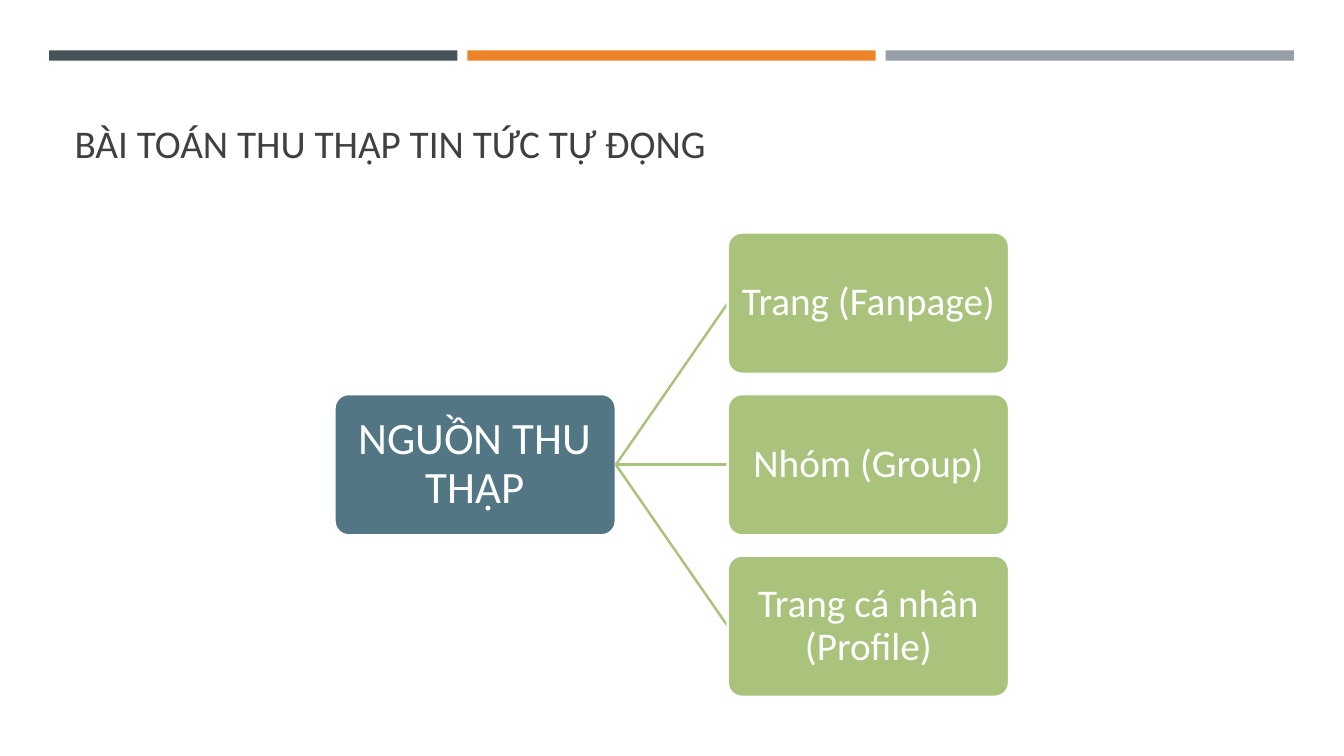
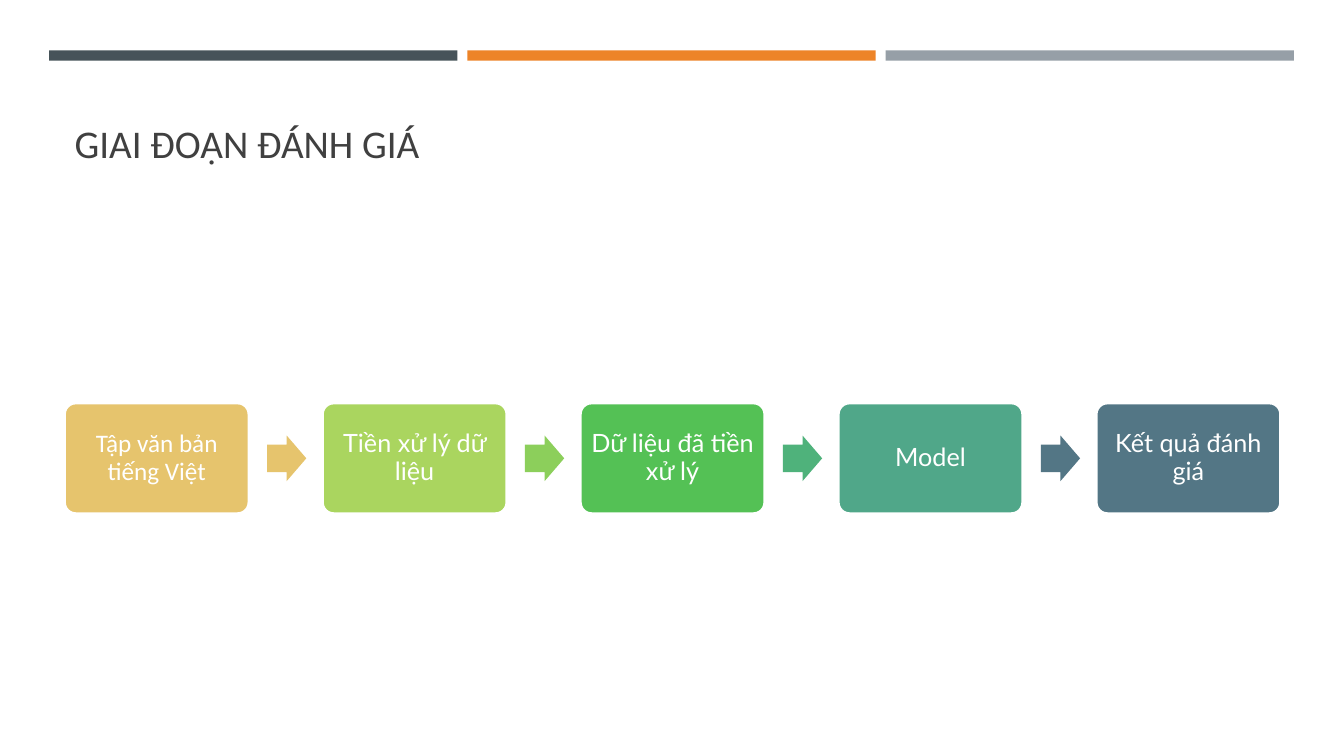
import pptx
import pptx.util
import pptx.dml.color
import pptx.enum.shapes
import pptx.enum.text
import pptx.oxml.ns
from dataclasses import dataclass
from lxml import etree

Cm = pptx.util.Cm
Pt = pptx.util.Pt
RGB = pptx.dml.color.RGBColor.from_string
SHAPE = pptx.enum.shapes.MSO_SHAPE
ALIGN = pptx.enum.text.PP_ALIGN
ANCHOR = pptx.enum.text.MSO_ANCHOR


@dataclass(frozen=True)
class Theme:
    bands: tuple = ("465359", "ED8428", "969FA7")
    title: str = "404040"
    white: str = "FFFFFF"
    root: str = "537685"
    branch: str = "A9C37C"
    font: str = "Calibri"
    step_font: str = "Lato"
    title_size: int = 28
    root_size: int = 32
    branch_size: int = 28
    step_size: int = 18
    line: float = 1.75


T = Theme()

SOURCES_TITLE = "BÀI TOÁN THU THẬP TIN TỨC TỰ ĐỘNG"
ROOT = "NGUỒN THU THẬP"
BRANCHES = ["Trang (Fanpage)", "Nhóm (Group)", "Trang cá nhân (Profile)"]

STEPS_TITLE = "GIAI ĐOẠN ĐÁNH GIÁ"
STEPS = [
    ("Tập văn bản tiếng Việt", T.font, "E6C46D", "E6C46D"),
    ("Tiền xử lý dữ liệu", T.step_font, "AAD55F", "8CCF5B"),
    ("Dữ liệu đã tiền xử lý", T.step_font, "54C155", "4FB27B"),
    ("Model", T.step_font, "50A789", "537685"),
    ("Kết quả đánh giá", T.step_font, "537685", None),
]


def add_block(slide, kind, x, y, w, h, fill):
    sp = slide.shapes.add_shape(kind, Cm(x), Cm(y), Cm(w), Cm(h))
    sp.shadow.inherit = False
    sp.fill.solid()
    sp.fill.fore_color.rgb = RGB(fill)
    sp.line.fill.background()
    return sp


def set_text(sp, text, size, color, font=T.font):
    tf = sp.text_frame
    tf.text = text
    tf.word_wrap = True
    tf.vertical_anchor = ANCHOR.MIDDLE
    p = tf.paragraphs[0]
    r = p.runs[0]
    r.font.size = Pt(size)
    r.font.name = font
    r.font.color.rgb = RGB(color)
    return tf


def add_box(slide, x, y, w, h, fill, text, size, inset, font=T.font):
    sp = add_block(slide, SHAPE.ROUNDED_RECTANGLE, x, y, w, h, fill)
    sp.adjustments[0] = 0.1
    sp.line.color.rgb = RGB(T.white)
    sp.line.width = Pt(T.line)
    tf = set_text(sp, text, size, T.white, font)
    tf.margin_left = tf.margin_right = Cm(inset)
    tf.margin_top = tf.margin_bottom = Cm(inset)
    p = tf.paragraphs[0]
    p.alignment = ALIGN.CENTER
    p.line_spacing = 0.9
    return sp


def add_link(slide, start, x, y):
    link = slide.shapes.add_connector(
        pptx.enum.shapes.MSO_CONNECTOR.STRAIGHT,
        start.left + start.width, start.top + start.height // 2, Cm(x), Cm(y))
    link.line.color.rgb = RGB(T.branch)
    link.line.width = Pt(T.line)
    etree.SubElement(link._element.spPr, pptx.oxml.ns.qn("a:effectLst"))
    link.begin_connect(start, 3)
    return link


def add_slide(prs, title):
    slide = prs.slides.add_slide(prs.slide_layouts[6])
    for i, color in enumerate(T.bands):
        add_block(slide, SHAPE.RECTANGLE, 1.24 + i * 10.54, 1.27, 10.29, 0.26, color)
    sp = slide.shapes.add_textbox(Cm(1.63), Cm(1.96), Cm(30.63), Cm(3.3))
    set_text(sp, title, T.title_size, T.title)
    return slide


def build_sources(prs):
    slide = add_slide(prs, SOURCES_TITLE)
    w, h, pitch = 7.09, 3.56, 4.07
    root_x, branch_x, top = 8.43, 18.34, 5.86
    middle = top + pitch * (len(BRANCHES) - 1) / 2
    root = add_box(slide, root_x, middle, w, h, T.root, ROOT, T.root_size, 0.05)
    for i, text in enumerate(BRANCHES):
        y = top + i * pitch
        link = add_link(slide, root, branch_x, y + h / 2)
        box = add_box(slide, branch_x, y, w, h, T.branch, text, T.branch_size, 0.05)
        link.end_connect(box, 1)


def build_steps(prs):
    slide = add_slide(prs, STEPS_TITLE)
    left, top, w, h, pitch = 1.63, 10.16, 4.64, 2.78, 6.5
    arrow_w, arrow_h = 0.99, 1.15
    arrow_dx = 5.1
    for i, (text, font, fill, arrow_fill) in enumerate(STEPS):
        x = left + i * pitch
        add_box(slide, x, top, w, h, fill, text, T.step_size, 0.18, font)
        if arrow_fill:
            arrow = add_block(slide, SHAPE.RIGHT_ARROW, x + arrow_dx,
                              top + (h - arrow_h) / 2, arrow_w, arrow_h, arrow_fill)
            arrow.adjustments[0] = 0.6
            arrow.adjustments[1] = 0.5


def main():
    prs = pptx.Presentation()
    prs.slide_width = Cm(33.87)
    prs.slide_height = Cm(19.05)
    build_sources(prs)
    build_steps(prs)
    prs.save("out.pptx")


if __name__ == "__main__":
    main()
